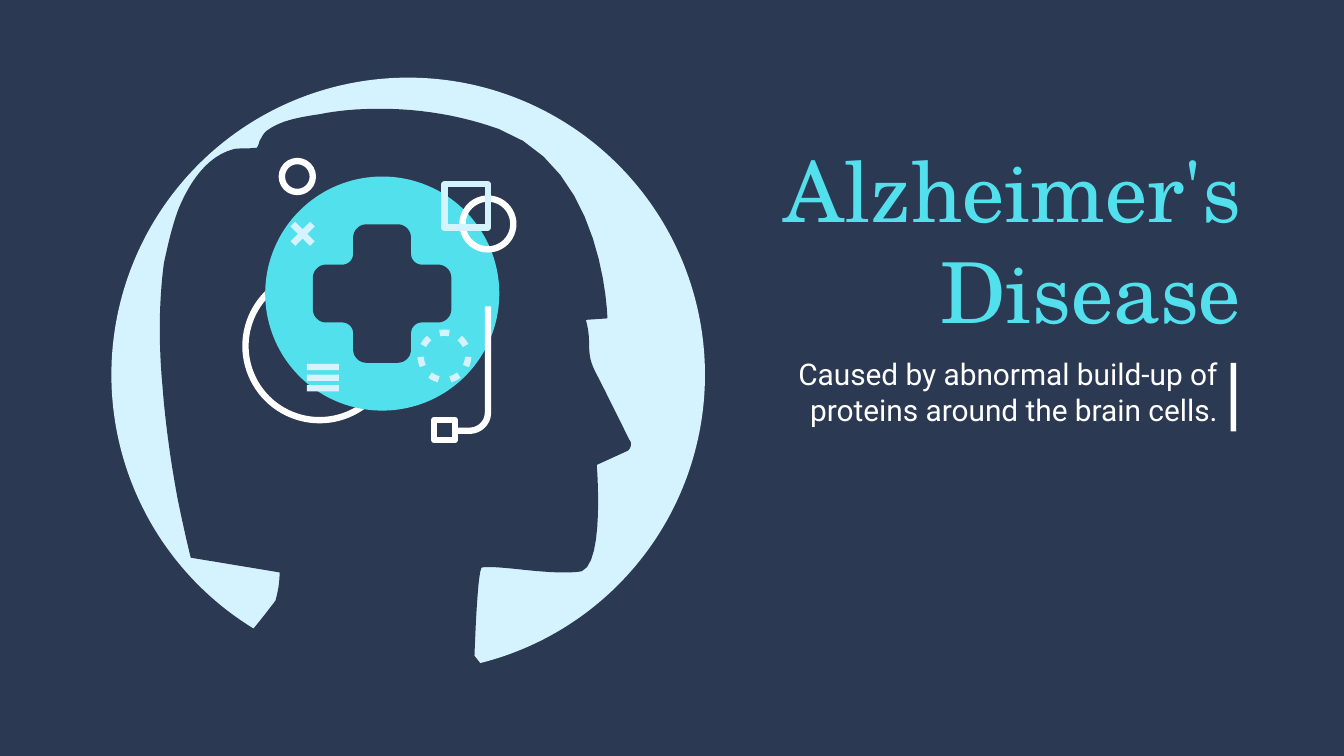
"""Build the Alzheimer's Disease title slide."""
from math import cos, radians, sin

from pptx import Presentation
from pptx.dml.color import RGBColor
from pptx.enum.shapes import MSO_SHAPE
from pptx.enum.text import MSO_ANCHOR, PP_ALIGN
from pptx.util import Pt

COLORS = {"navy": "2B3A52", "aqua": "53E0ED", "ice": "D4F3FF", "white": "FFFFFF"}
STROKE = 3.4
CURVE_STEPS = 12

HEAD = [
    (203.8, 58.3),
    (225.4, 58.3, 247, 61.9, 267.1, 69.1),
    (324, 90, 325.4, 170.6, 325.4, 170.6),
    (313.9, 171.4),
    (317.5, 184.3, 313.2, 187.9, 319, 199.4),
    (324, 208.8, 337, 235.4, 337, 235.4),
    (339.1, 237.6, 337.7, 241.2, 335.5, 241.9),
    (319.7, 249.1),
    (319.7, 249.1, 324, 301, 311.8, 306),
    (308.9, 306.7, 305.3, 306.7, 301, 306.7),
    (288.7, 306.7, 270.7, 303.8, 262.1, 303.8),
    (259.9, 303.8, 257.8, 303.8, 257.8, 304.6),
    (255.6, 308.9, 254.2, 351.4, 254.2, 351.4),
    (259.9, 358.6),
    (246.2, 361.4, 232.6, 363.6, 218.9, 363.6),
    (187.2, 363.6, 158.4, 354.2, 133.9, 339.1),
    (141.1, 330.5, 147.6, 321.8, 147.6, 321.8),
    (149, 316.8, 149.8, 311.8, 149.8, 306.7),
    (102.2, 298.8),
    (99.4, 287.3, 97.2, 277.2, 95, 266.4),
    (91.4, 247, 88.6, 226.8, 87.1, 207.4),
    (85, 185, 85, 162.7, 87.8, 141.1),
    (90, 131, 92.2, 121, 95.8, 111.6),
    (101.5, 97.9, 110.9, 83.5, 125.3, 79.9),
    (128.9, 79.2, 132.5, 79.9, 136.1, 79.2),
    (137.5, 79.2),
    (138.2, 78.5, 139, 76.3, 139, 75.6),
    (140.4, 73.4, 141.1, 71.3, 143.3, 69.8),
    (151.2, 64.1, 162, 62.6, 171.4, 61.2),
    (182.2, 59, 193, 58.3, 203.8, 58.3),
]
CROSS_QUARTER = [
    (8.3, -37.1),
    (12.3, -37.1, 15.5, -33.9, 15.5, -29.9),
    (15.5, -21.3),
    (15.5, -18.1, 18.1, -15.5, 21.3, -15.5),
    (29.9, -15.5),
    (33.9, -15.5, 37.1, -12.3, 37.1, -8.3),
]
HOOK = [
    (261.4, 164.2),
    (261.4, 221),
    (261.4, 226.6, 256.9, 230.8, 251.3, 230.8),
    (243.4, 230.8),
]


def color(name):
    """Return the named colour."""
    return RGBColor.from_string(COLORS[name])


def paint(shape, fill=None, line=None):
    """Set the fill and outline of a shape and drop its shadow."""
    shape.shadow.inherit = False
    if fill:
        shape.fill.solid()
        shape.fill.fore_color.rgb = color(fill)
    else:
        shape.fill.background()
    if line:
        shape.line.color.rgb = color(line)
        shape.line.width = Pt(STROKE)
    else:
        shape.line.fill.background()


def add_solid(page, kind, left, top, width, height, fill, rotation=0):
    """Add a filled preset shape."""
    shape = page.shapes.add_shape(kind, Pt(left), Pt(top), Pt(width), Pt(height))
    shape.rotation = rotation
    paint(shape, fill=fill)


def add_outline(page, kind, left, top, size, line):
    """Add a hollow square or ring whose outer edge has the given size."""
    inner = Pt(size - STROKE)
    inset = STROKE / 2
    shape = page.shapes.add_shape(kind, Pt(left + inset), Pt(top + inset), inner, inner)
    paint(shape, line=line)


def flatten(segments):
    """Turn line and cubic curve segments into a list of points."""
    points = [segments[0]]
    for segment in segments[1:]:
        if len(segment) == 2:
            points.append(segment)
            continue
        corners = [points[-1], segment[:2], segment[2:4], segment[4:]]
        for step in range(1, CURVE_STEPS + 1):
            t = step / CURVE_STEPS
            weights = ((1 - t) ** 3, 3 * t * (1 - t) ** 2, 3 * t * t * (1 - t), t ** 3)
            points.append(tuple(
                sum(weight * corner[axis] for weight, corner in zip(weights, corners))
                for axis in (0, 1)))
    return points


def add_path(page, points, fill=None, line=None):
    """Add a closed filled outline or an open stroke."""
    places = [(Pt(x), Pt(y)) for x, y in points]
    builder = page.shapes.build_freeform(*places[0])
    builder.add_line_segments(places[1:], close=bool(fill))
    paint(builder.convert_to_shape(), fill=fill, line=line)


def add_cross(page, center_x, center_y):
    """Add the rounded cross from four turns of one quarter."""
    quarter = flatten(CROSS_QUARTER)
    points = []
    for _ in range(4):
        points += [(center_x + x, center_y + y) for x, y in quarter]
        quarter = [(-y, x) for x, y in quarter]
    add_path(page, points, fill="navy")


def add_dashed_ring(page, center_x, center_y, radius, count, sweep):
    """Add evenly spaced arcs around a centre, the first one at the top."""
    for index in range(count):
        middle = 360 * index / count - 90
        angles = [radians(middle + sweep * step / 4) for step in (-2, -1, 0, 1, 2)]
        arc = [(center_x + radius * cos(a), center_y + radius * sin(a)) for a in angles]
        add_path(page, arc, line="ice")


def add_text(page, text, left, top, width, height, *, font, size, fill, anchor):
    """Add a right-aligned text box."""
    box = page.shapes.add_textbox(Pt(left), Pt(top), Pt(width), Pt(height))
    frame = box.text_frame
    frame.word_wrap = True
    frame.vertical_anchor = anchor
    frame.margin_left = frame.margin_right = Pt(7.2)
    frame.margin_top = frame.margin_bottom = Pt(7.2)
    para = frame.paragraphs[0]
    para.alignment = PP_ALIGN.RIGHT
    span = para.add_run()
    span.text = text
    span.font.name = font
    span.font.size = Pt(size)
    span.font.color.rgb = color(fill)


def add_illustration(page):
    """Draw the head and the medical symbols."""
    oval, rectangle = MSO_SHAPE.OVAL, MSO_SHAPE.RECTANGLE
    add_solid(page, oval, 59.7, 41.6, 318, 318.4, "ice")
    add_path(page, flatten(HEAD), fill="navy")
    add_outline(page, oval, 129.8, 144, 82.8, "white")
    add_solid(page, oval, 142.1, 94.6, 125.4, 125.4, "aqua")
    add_cross(page, 204.7, 157.3)
    add_dashed_ring(page, 238.1, 190.9, 12.7, count=7, sweep=23)
    add_outline(page, oval, 149.3, 84.6, 20, "white")
    add_outline(page, oval, 246.1, 104.7, 30.6, "white")
    add_outline(page, rectangle, 231, 223.2, 14.4, "white")
    for row in range(3):
        add_solid(page, rectangle, 164.4, 195 + 5.7 * row, 17.2, 3.4, "ice")
    for angle in (45, 135):
        add_solid(page, rectangle, 154.7, 123.5, 14.8, 3.6, "ice", angle)
    add_outline(page, rectangle, 236.5, 97, 26.6, "ice")
    add_path(page, flatten(HOOK), line="white")


def main():
    """Build and save the deck."""
    deck = Presentation()
    deck.slide_width, deck.slide_height = Pt(720), Pt(405)
    page = deck.slides.add_slide(deck.slide_layouts[6])
    page.background.fill.solid()
    page.background.fill.fore_color.rgb = color("navy")
    add_text(page, "Alzheimer's Disease", 378, 59.8, 293.8, 129.6,
             font="TeX Gyre Schola", size=45, fill="aqua", anchor=MSO_ANCHOR.BOTTOM)
    add_text(page, "Caused by abnormal build-up of proteins around the brain cells.",
             411.8, 183.6, 247.7, 48.2,
             font="Roboto", size=16, fill="white", anchor=MSO_ANCHOR.TOP)
    add_solid(page, MSO_SHAPE.RECTANGLE, 659.3, 194.4, 3, 36.8, "white")
    add_illustration(page)
    deck.save("out.pptx")


if __name__ == "__main__":
    main()
